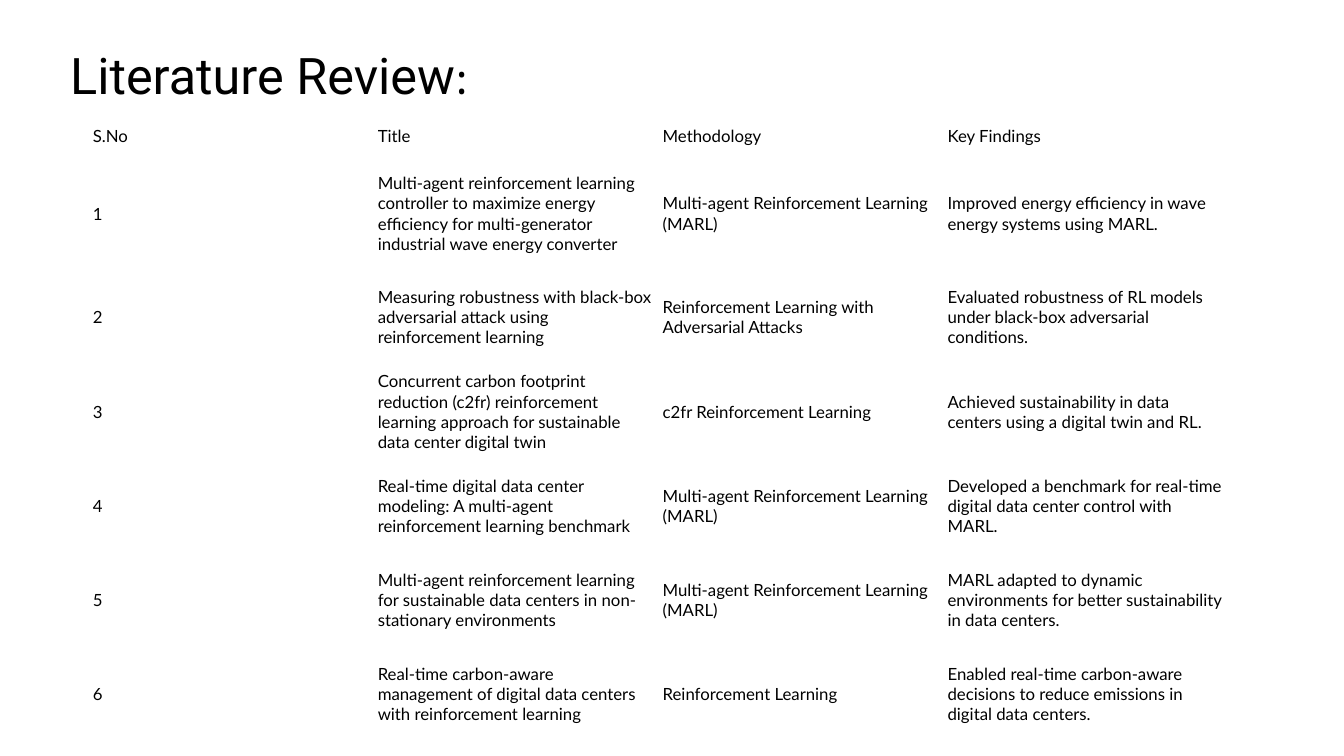
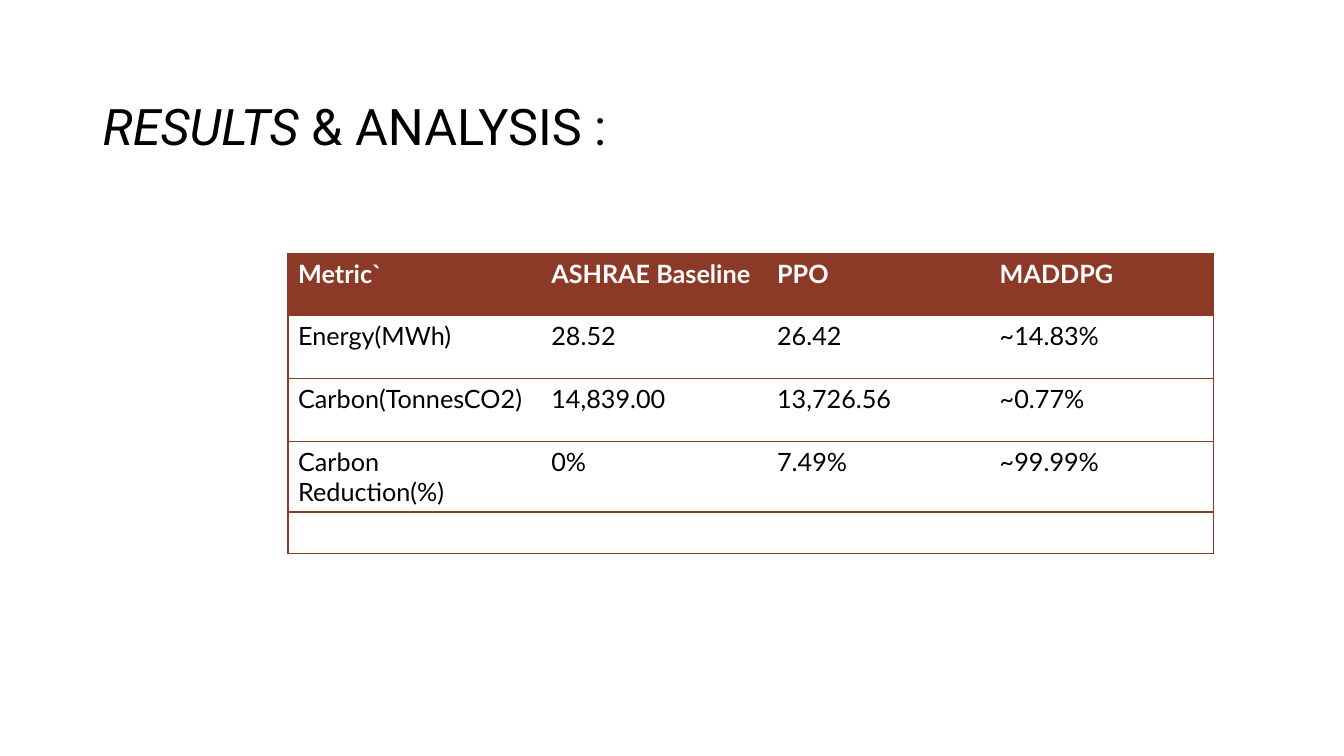
from pptx import Presentation
from pptx.dml.color import RGBColor
from pptx.enum.text import MSO_ANCHOR as Anchor
from pptx.oxml.ns import qn
from pptx.util import Cm, Pt
from lxml.etree import SubElement

COLOURS = {"text": "000000", "header_text": "FFFFFF", "rust": "8C3A27"}
TITLE_SIZE = (29.21, 3.68)
TITLE_FORMAT = {"name": "Roboto", "size": Pt(36), "bold": False, "italic": False}
REVIEW_FORMAT = {"name": "Lato", "size": Pt(12), "bold": False}
RESULT_FORMAT = {"name": "Lato", "size": Pt(18), "bold": False}
REVIEW_MARGINS = {
    "margin_left": Cm(0.13), "margin_right": Cm(0.13),
    "margin_top": Cm(0.08), "margin_bottom": Cm(0.08),
    "vertical_anchor": Anchor.MIDDLE,
}

REVIEW_ROWS = [
    ("S.No", "Title", "Methodology", "Key Findings"),
    ("1", "Multi-agent reinforcement learning controller to maximize energy efficiency "
          "for multi-generator industrial wave energy converter",
     "Multi-agent Reinforcement Learning (MARL)",
     "Improved energy efficiency in wave energy systems using MARL."),
    ("2", "Measuring robustness with black-box adversarial attack using reinforcement learning",
     "Reinforcement Learning with Adversarial Attacks",
     "Evaluated robustness of RL models under black-box adversarial conditions."),
    ("3", "Concurrent carbon footprint reduction (c2fr) reinforcement learning approach "
          "for sustainable data center digital twin",
     "c2fr Reinforcement Learning",
     "Achieved sustainability in data centers using a digital twin and RL."),
    ("4", "Real-time digital data center modeling: A multi-agent reinforcement learning benchmark",
     "Multi-agent Reinforcement Learning (MARL)",
     "Developed a benchmark for real-time digital data center control with MARL."),
    ("5", "Multi-agent reinforcement learning for sustainable data centers "
          "in non-stationary environments",
     "Multi-agent Reinforcement Learning (MARL)",
     "MARL adapted to dynamic environments for better sustainability in data centers."),
    ("6", "Real-time carbon-aware management of digital data centers with reinforcement learning",
     "Reinforcement Learning",
     "Enabled real-time carbon-aware decisions to reduce emissions in digital data centers."),
]
RESULT_ROWS = [
    ("Metric`", "ASHRAE Baseline", "PPO", "MADDPG"),
    ("Energy(MWh)", "28.52", "26.42", "~14.83%"),
    ("Carbon(TonnesCO2)", "14,839.00", "13,726.56", "~0.77%"),
    ("Carbon Reduction(%)", "0%", "7.49%", "~99.99%"),
    ("", "", "", ""),
]


def apply(target, values):
    for name, value in values.items():
        setattr(target, name, value)


def add_span(para, text, values, colour="text"):
    span = para.add_run()
    span.text = text
    apply(span.font, values)
    span.font.color.rgb = RGBColor.from_string(COLOURS[colour])


def add_title(page, left, top, spans):
    box = page.shapes.add_textbox(*map(Cm, (left, top, *TITLE_SIZE)))
    apply(box.text_frame, {"word_wrap": True, "vertical_anchor": Anchor.BOTTOM})
    para = box.text_frame.paragraphs[0]
    para.line_spacing = 0.9
    for text, changes in spans:
        add_span(para, text, TITLE_FORMAT | changes)


def set_borders(cell, edges):
    properties = cell._tc.get_or_add_tcPr()
    for side in "LRTB":
        line = SubElement(properties, qn(f"a:ln{side}"), w=str(Pt(1)))
        if side in edges:
            fill = SubElement(line, qn("a:solidFill"))
            SubElement(fill, qn("a:srgbClr"), val=COLOURS["rust"])
        else:
            SubElement(line, qn("a:noFill"))


def add_table(page, left, top, widths, heights, rows):
    size = (sum(widths), sum(heights))
    frame = page.shapes.add_table(len(rows), len(widths), *map(Cm, (left, top, *size)))
    table = frame.table
    apply(table, {"first_row": False, "horz_banding": False})
    for column, width in zip(table.columns, widths):
        column.width = Cm(width)
    for row, height in zip(table.rows, heights):
        row.height = Cm(height)
    return [
        (table.cell(r, c), r, c, text)
        for r, row in enumerate(rows) for c, text in enumerate(row)
    ]


def add_review_table(page, left, top):
    heights = [0.81, 3.1, 2.13, 2.62, 2.13, 2.62, 2.13]
    for cell, r, c, text in add_table(page, left, top, [7.18] * 4, heights, REVIEW_ROWS):
        apply(cell, REVIEW_MARGINS)
        set_borders(cell, "")
        cell.fill.background()
        add_span(cell.text_frame.paragraphs[0], text, REVIEW_FORMAT)


def add_result_table(page, left, top):
    widths = [6.38, 5.69, 5.61, 5.64]
    heights = [1.58, 1.58, 1.58, 1.78, 1.04]
    for cell, r, c, text in add_table(page, left, top, widths, heights, RESULT_ROWS):
        set_borders(cell, "TB" + {0: "L", len(widths) - 1: "R"}.get(c, ""))
        header = r == 0
        if header:
            cell.fill.solid()
            cell.fill.fore_color.rgb = RGBColor.from_string(COLOURS["rust"])
        else:
            cell.fill.background()
        if text:
            add_span(cell.text_frame.paragraphs[0], text, RESULT_FORMAT | {"bold": header},
                     "header_text" if header else "text")


def build_review(page):
    add_title(page, 1.52, -0.91, [("Literature Review", {}), (":", {"name": "Cambria"})])
    add_review_table(page, 2.21, 3.02)


def build_results(page):
    add_title(page, 2.34, 0.38, [("RESULTS", {"italic": True}), (" & ANALYSIS :", {})])
    add_result_table(page, 7.26, 6.38)


def main():
    deck = Presentation()
    apply(deck, {"slide_width": Cm(33.87), "slide_height": Cm(19.05)})
    for build in (build_review, build_results):
        build(deck.slides.add_slide(deck.slide_layouts[6]))
    deck.save("out.pptx")


if __name__ == "__main__":
    main()
